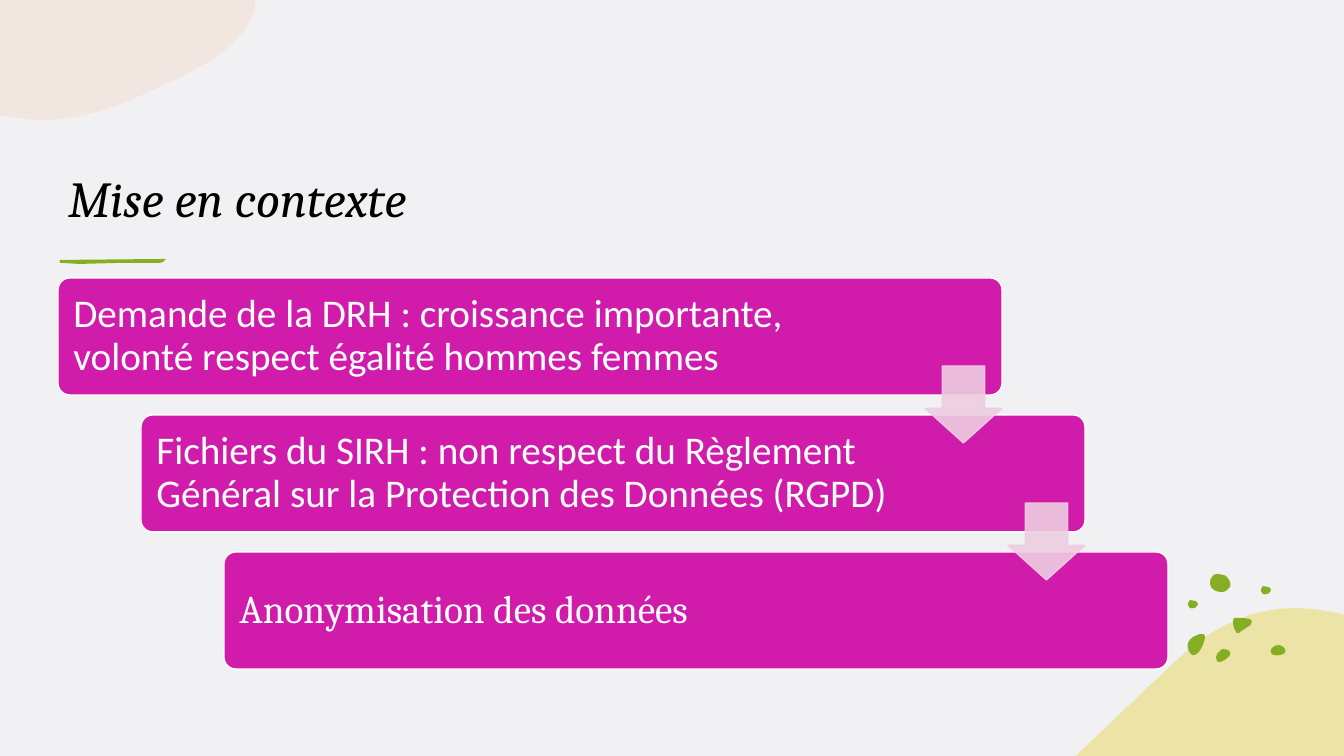
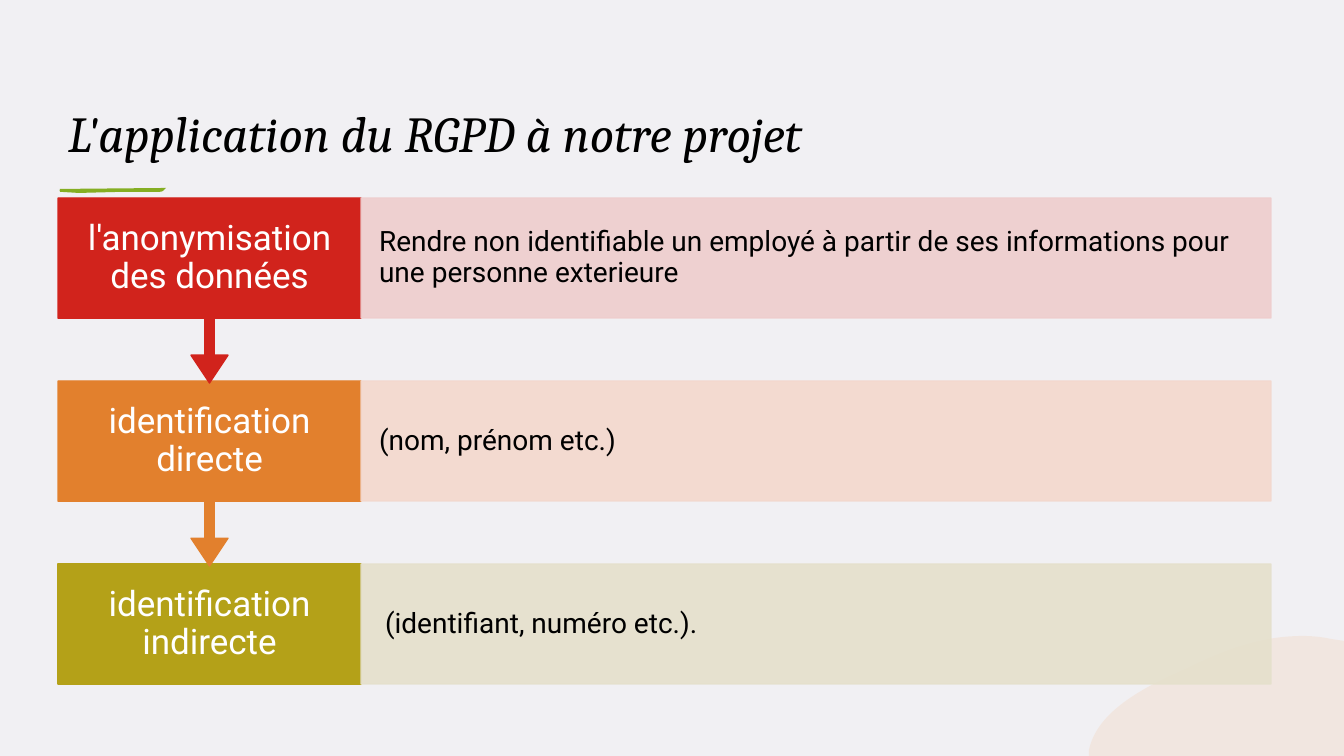
from lxml.etree import SubElement
from pptx import Presentation
from pptx.dml.color import RGBColor
from pptx.enum.shapes import MSO_SHAPE
from pptx.enum.text import MSO_ANCHOR, MSO_AUTO_SIZE, PP_ALIGN
from pptx.oxml.ns import qn
from pptx.util import Pt

WIDTH, HEIGHT = 1344, 756
SCALE = 12192000 / WIDTH

PAPER, BLACK, WHITE = "F1F0F3", "000000", "FFFFFF"
GREEN, YELLOW, PEACH = "85AE23", "E9D85D", "F3CCAB"
MAGENTA, PALE_MAGENTA = "D11CAB", "EECDE2"

BLOB = [(0, 0), (255, 0), (255, 6), (247, 44, 202, 68, 159, 87),
        (124, 104, 87, 120, 41, 120), (31, 120, 22, 119, 13, 117), (0, 115)]
HILL = [(223, 0), (236, 1, 250, 2, 263, 5), (269, 7), (269, 148), (0, 148), (2, 147),
        (36, 114, 71, 81, 103, 51), (126, 29, 149, 16, 172, 8), (189, 2, 206, 0, 223, 0)]
BRUSH = [(1, 1), (107, 0), (104, 1, 106, 4, 100, 4), (59, 4), (20, 5), (3, 4),
         (0, 5, 0, 1, 1, 1)]
PEBBLE = [(0, 5), (0, 5, 0, 1, 2, 0), (4, 0, 5, 0, 7, 1), (8, 1, 10, 2, 10, 4),
          (10, 5, 9, 6, 8, 7), (8, 7, 8, 8, 6, 8), (5, 8, 3, 9, 2, 8), (1, 6, 0, 6, 0, 5)]
PEBBLE_PLACES = [(74, 12), (1, 26)]
DOTS = [
    [(36, 75), (38, 75, 39, 75, 41, 76), (43, 77, 44, 79, 43, 81), (41, 84, 35, 89, 31, 88),
     (30, 87, 29, 85, 29, 83), (29, 81, 31, 78, 33, 77), (34, 76, 35, 75, 36, 75)],
    [(14, 60), (16, 60, 18, 60, 18, 62), (18, 63, 18, 63, 18, 64), (17, 69, 15, 74, 12, 78),
     (10, 80, 6, 83, 4, 80), (1, 77, 0, 72, 1, 69), (2, 66, 4, 65, 6, 63),
     (7, 63, 11, 60, 14, 60)],
    [(92, 71), (94, 71, 97, 73, 98, 75), (99, 77, 99, 79, 96, 80), (93, 82, 85, 82, 84, 79),
     (83, 77, 84, 75, 85, 74), (87, 72, 89, 71, 92, 71)],
    [(24, 12), (23, 12, 22, 6, 25, 3), (27, 1, 27, 0, 30, 0), (33, 0, 37, 1, 39, 2),
     (41, 4, 45, 9, 43, 13), (40, 16, 39, 18, 35, 18), (32, 18, 27, 17, 26, 15),
     (24, 14, 24, 13, 24, 12)],
    [(51, 44), (57, 44, 68, 44, 64, 50), (64, 51, 63, 52, 62, 52), (59, 54, 56, 56, 53, 58),
     (52, 59, 51, 60, 50, 59), (50, 59, 49, 58, 49, 58), (47, 54, 46, 51, 46, 47),
     (46, 46, 46, 45, 47, 44)],
]

STEPS = [
    ("Demande de la DRH : croissance importante, volonté respect égalité hommes femmes",
     "Calibri"),
    ("Fichiers du SIRH : non respect du Règlement Général sur la Protection "
     "des Données (RGPD)", "Calibri"),
    ("Anonymisation des données", "Cambria"),
]
ROWS = [
    ("l'anonymisation des données", "D1231C", "EECDCD", 0,
     "Rendre non identifiable un employé à partir de ses informations pour "
     "une personne exterieure"),
    ("identification directe", "E2802D", "F4D8CD", 0, "(nom, prénom etc.)"),
    ("identification indirecte", "B4A118", "E5E0CC", 6, "(identifiant, numéro etc.)."),
]


def px(length):
    return round(length * SCALE)


def rgb(color):
    return RGBColor.from_string(color)


def fill_solid(fill, color, alpha=100):
    fill.solid()
    fill.fore_color.rgb = rgb(color)
    if alpha < 100:
        for tone in fill._xPr.iter(qn("a:srgbClr")):
            SubElement(tone, qn("a:alpha")).set("val", str(alpha * 1000))


def paint(shape, color, alpha=100, line=None):
    shape.shadow.inherit = False
    if line:
        shape.line.width = Pt(1)
        fill_solid(shape.line.fill, line, alpha if line == color else 100)
    else:
        shape.line.fill.background()
    fill_solid(shape.fill, color, alpha)


def add_block(page, kind, box, color, alpha=100, line=None, adjustments=()):
    shape = page.shapes.add_shape(kind, *map(px, box))
    for index, value in enumerate(adjustments):
        shape.adjustments[index] = value
    paint(shape, color, alpha, line)
    return shape


def add_outline(page, left, top, outline, color, alpha=100, sign=1):
    segments = [[(px(left + sign * x), px(top + sign * y))
                 for x, y in zip(part[::2], part[1::2])] for part in outline]
    builder = page.shapes.build_freeform(*segments[0][0], scale=1.0)
    builder.add_line_segments([points[-1] for points in segments[1:]], close=True)
    shape = builder.convert_to_shape()
    for points, edge in zip(segments[1:], list(shape._element.iter(qn("a:lnTo")))):
        if len(points) == 3:
            edge.tag = qn("a:cubicBezTo")
            edge.remove(edge[0])
            for x, y in points:
                spot = SubElement(edge, qn("a:pt"))
                spot.set("x", str(x - shape.left))
                spot.set("y", str(y - shape.top))
    paint(shape, color, alpha)


def write(shape, text, font, size, color, insets, align=PP_ALIGN.LEFT,
          anchor=MSO_ANCHOR.MIDDLE, spacing=0.9, italic=False):
    frame = shape.text_frame
    frame.text = text
    frame.word_wrap = True
    frame.auto_size = MSO_AUTO_SIZE.NONE
    frame.vertical_anchor = anchor
    (frame.margin_left, frame.margin_top,
     frame.margin_right, frame.margin_bottom) = map(px, insets)
    para = frame.paragraphs[0]
    para.alignment = align
    para.line_spacing = spacing
    for span in para.runs:
        span.font.name = font
        span.font.size = Pt(size)
        span.font.italic = italic
        span.font.color.rgb = rgb(color)


def add_page(deck, title, box, brush_top):
    page = deck.slides.add_slide(deck.slide_layouts.get_by_name("Title Only"))
    heading = page.shapes.title
    heading.left, heading.top, heading.width, heading.height = map(px, box)
    write(heading, title, "Cambria", 36, BLACK, (10, 5, 10, 5),
          anchor=MSO_ANCHOR.BOTTOM, spacing=1.0, italic=True)
    add_outline(page, 59, brush_top, BRUSH, GREEN)
    return page


def add_dots(page, left, top):
    for dot in DOTS:
        add_outline(page, left, top, dot, GREEN)
    for x, y in PEBBLE_PLACES:
        add_outline(page, left + x, top + y, PEBBLE, GREEN)


def add_staircase(page, left, top):
    places = [(left + 83 * index, top + 137 * index) for index in range(len(STEPS))]
    for (x, y), (text, font) in zip(places, STEPS):
        step = add_block(page, MSO_SHAPE.ROUNDED_RECTANGLE, (x, y, 944, 117),
                         MAGENTA, line=WHITE, adjustments=(0.1,))
        write(step, text, font, 28, WHITE, (12, 16, 150, 16))
    for x, y in places[:-1]:
        add_block(page, MSO_SHAPE.DOWN_ARROW, (x + 867, y + 88, 77, 77), PALE_MAGENTA, 90,
                  PALE_MAGENTA, (0.55, 0.45))


def add_definitions(page, left, top):
    label_width, row_height, pitch = 303, 120, 183
    last = len(ROWS) - 1
    for index in range(last, -1, -1):
        label, strong, pale, indent, detail = ROWS[index]
        y = top + pitch * index
        if index == last:
            tag = add_block(page, MSO_SHAPE.RECTANGLE, (left, y, label_width, row_height),
                            strong, line=strong)
        else:
            tag = add_block(page, MSO_SHAPE.DOWN_ARROW_CALLOUT, (left, y, label_width, 185),
                            strong, line=strong, adjustments=(0.05, 0.1, 0.15, 0.65))
        write(tag, label, "Roboto", 25, WHITE, (21, 19, 21, 19), PP_ALIGN.CENTER)
        band = add_block(page, MSO_SHAPE.RECTANGLE,
                         (left + label_width, y, 910, row_height), pale, 90, pale)
        write(band, detail, "Roboto", 20, BLACK, (18 + indent, 28, 18, 28))


def build_context(deck):
    page = add_page(deck, "Mise en contexte", (58, 87, 1111, 146), 259)
    add_outline(page, 0, 0, BLOB, PEACH, 25)
    add_outline(page, 1075, 608, HILL, YELLOW, 50)
    add_dots(page, 1187, 574)
    add_staircase(page, 58, 278)


def build_application(deck):
    page = add_page(deck, "L'application du RGPD à notre projet", (58, 77, 1111, 91), 188)
    add_outline(page, WIDTH, HEIGHT, BLOB, PEACH, 25, sign=-1)
    add_definitions(page, 58, 198)


def main():
    deck = Presentation()
    deck.slide_width, deck.slide_height = px(WIDTH), px(HEIGHT)
    fill_solid(deck.slide_master.background.fill, PAPER)
    build_context(deck)
    build_application(deck)
    deck.save("out.pptx")


if __name__ == "__main__":
    main()
